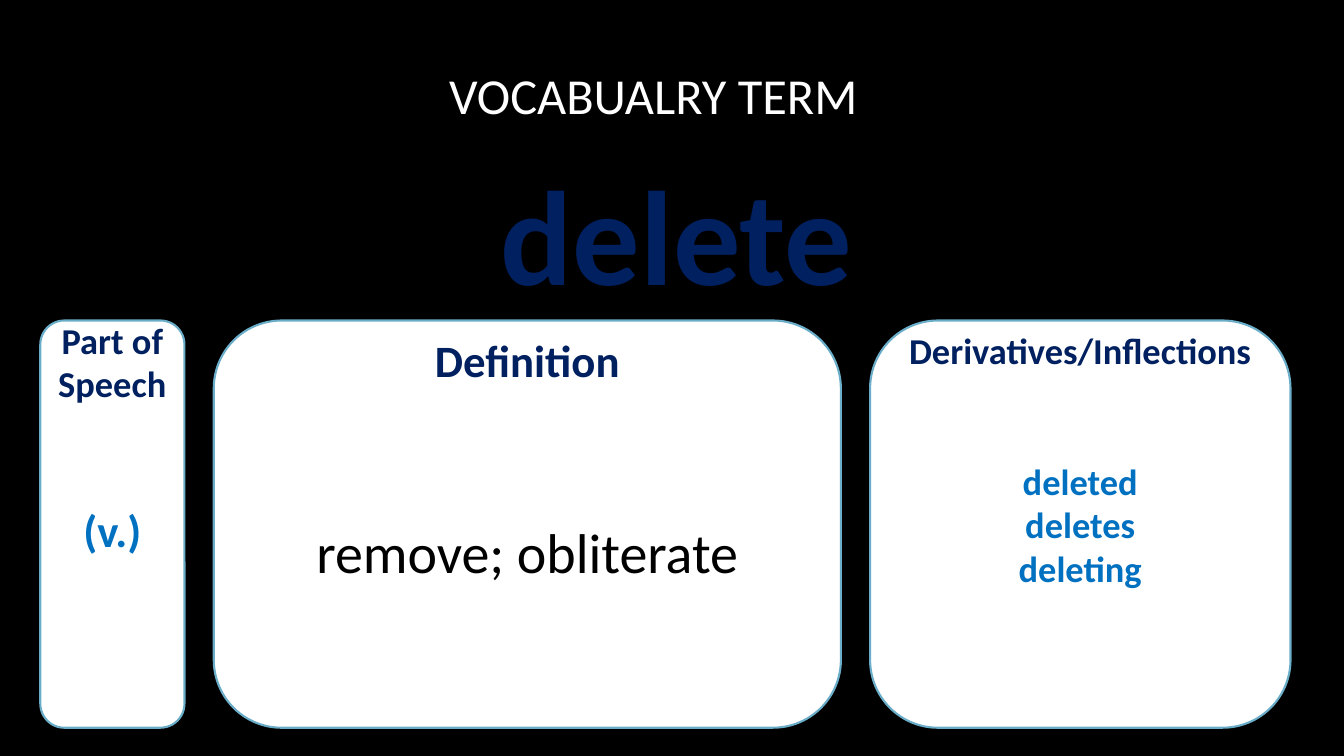
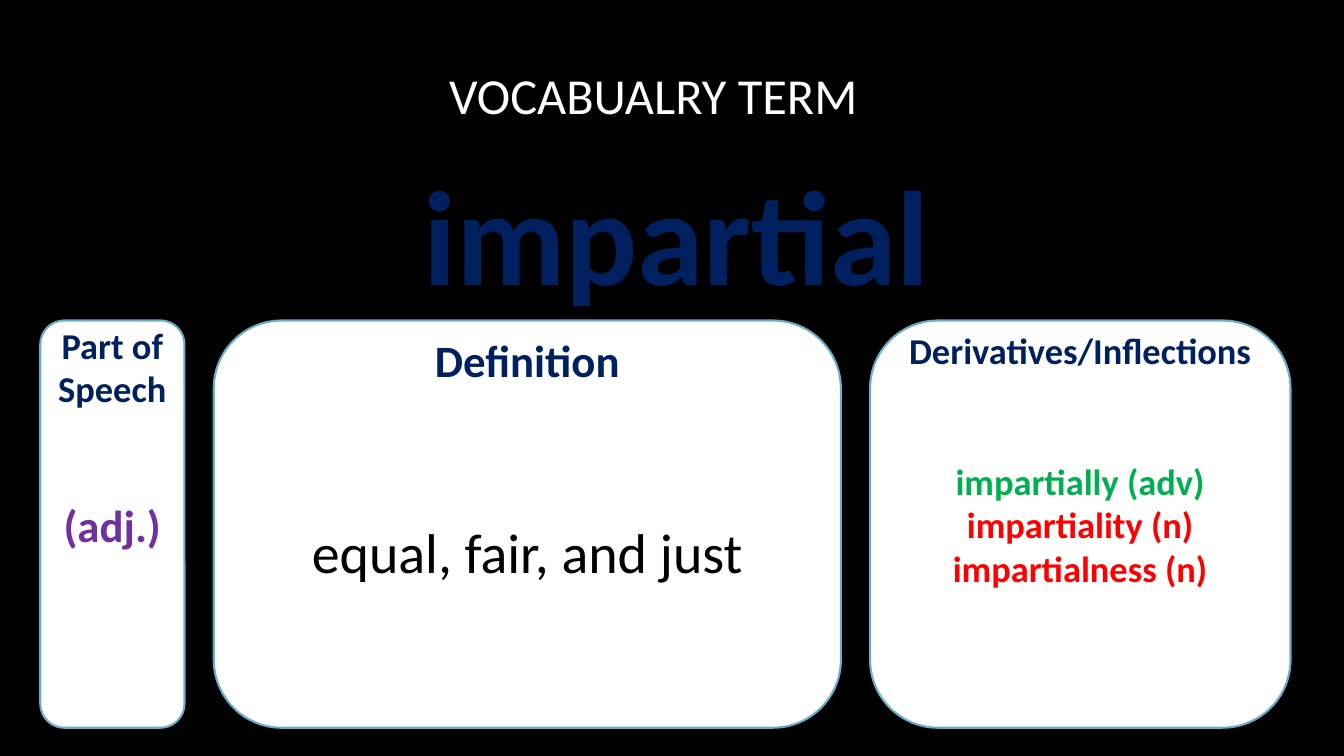
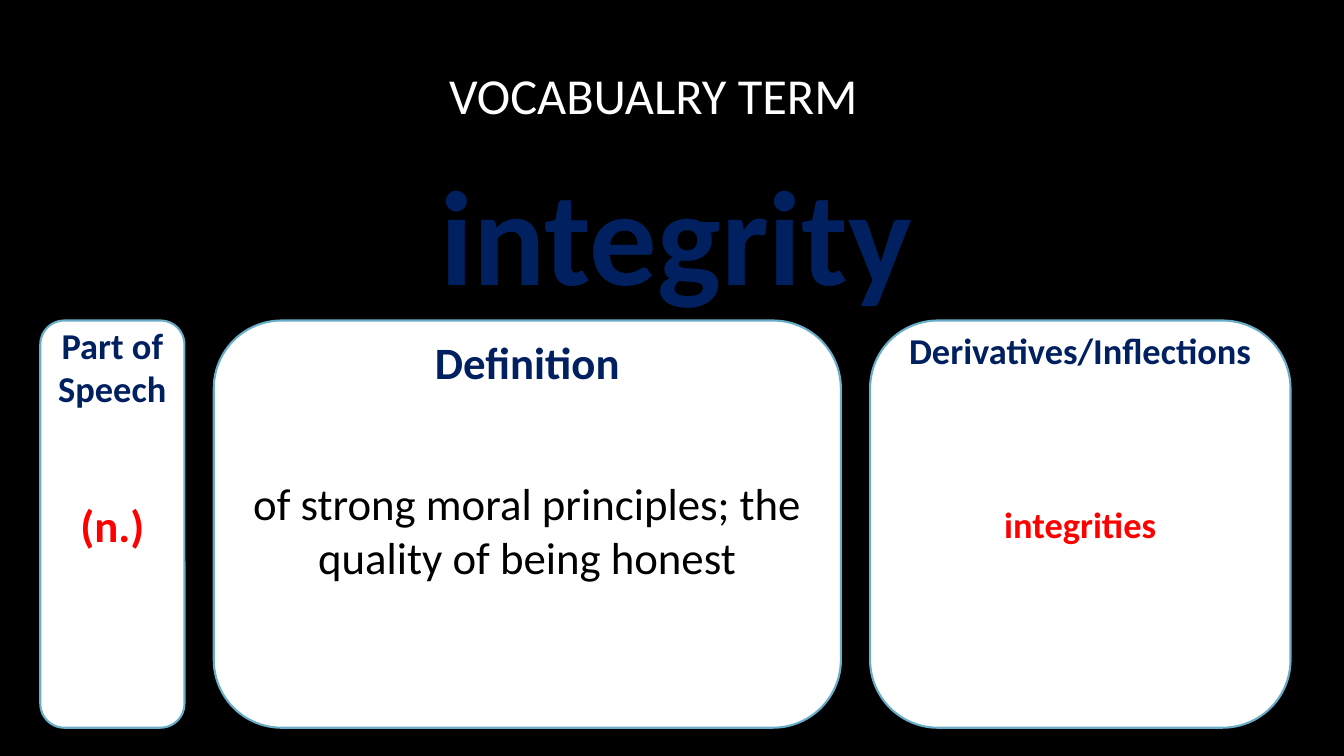
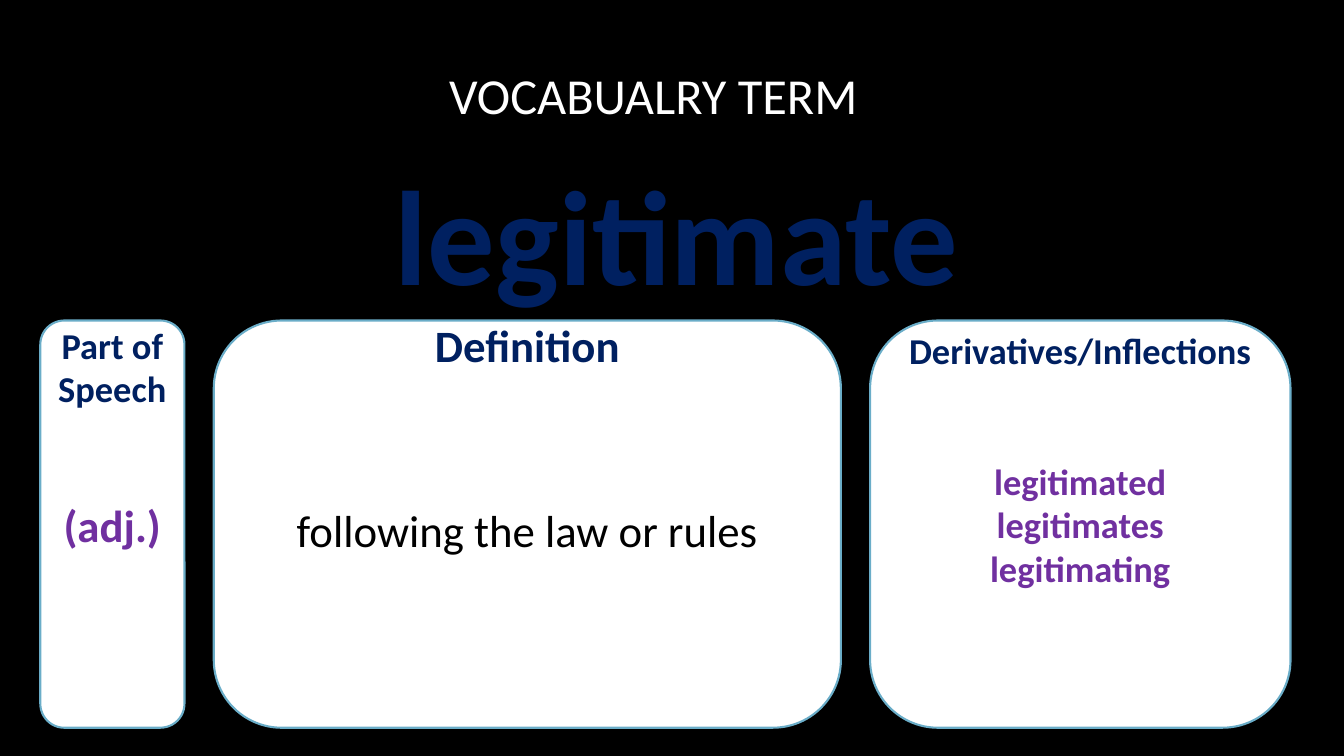
import pptx
import pptx.util
import pptx.dml.color
import pptx.enum.shapes
import pptx.enum.text
from lxml import etree

Inches = pptx.util.Inches
Pt = pptx.util.Pt
RGBColor = pptx.dml.color.RGBColor
ALIGN = pptx.enum.text.PP_ALIGN
MIDDLE = pptx.enum.text.MSO_ANCHOR.MIDDLE
ROUND = pptx.enum.shapes.MSO_SHAPE.ROUNDED_RECTANGLE

BLACK = RGBColor(0x00, 0x00, 0x00)
WHITE = RGBColor(0xFF, 0xFF, 0xFF)
NAVY = RGBColor(0x00, 0x20, 0x60)
EDGE = RGBColor(0x6A, 0xAD, 0xC8)
BLUE = RGBColor(0x00, 0x70, 0xC0)
GREEN = RGBColor(0x00, 0xB0, 0x50)
RED = RGBColor(0xFF, 0x00, 0x00)
PURPLE = RGBColor(0x70, 0x30, 0xA0)

FONT = "Calibri"
LINE = 31.1   # height in points of one 26 pt line, the unit of the gaps
INSET = 3.6
TOP, HIGH = 3.18, 4.04


def write(para, text, size, color, bold=True):
    para.alignment = ALIGN.CENTER
    para.space_before = Pt(0)
    run = para.add_run()
    run.text = text
    run.font.name = FONT
    run.font.size = Pt(size)
    run.font.bold = bold
    run.font.color.rgb = color


def card(slide, left, width, head, size, gap, rows, tail):
    """Draw a panel with gap lines under its heading and tail lines kept free at its foot."""
    box = slide.shapes.add_shape(ROUND, Inches(left), Inches(TOP), Inches(width), Inches(HIGH))
    box.shadow.inherit = False
    box.fill.solid()
    box.fill.fore_color.rgb = WHITE
    box.line.color.rgb = EDGE
    box.line.width = Pt(1.5)
    frame = box.text_frame
    frame.word_wrap = True
    frame.vertical_anchor = MIDDLE
    frame.margin_bottom = Pt(INSET + tail * LINE)
    write(frame.paragraphs[0], head, size, NAVY)
    for i, row in enumerate(rows):
        para = frame.add_paragraph()
        write(para, *row)
        if i == 0:
            para.space_before = Pt(gap * LINE)


# Each term: word, part of speech (gap, text, colour),
# definition (gap, text, size, tail), forms (gap, rows, tail)
TERMS = [
    ("delete", (2.24, "(v.)", BLUE),
     (3, "remove; obliterate", 40, 3),
     (2, [("deleted", BLUE), ("deletes", BLUE), ("deleting", BLUE)], 3)),
    ("impartial", (2, "(adj.)", PURPLE),
     (3, "equal, fair, and just", 40, 3),
     (2, [("impartially (adv)", GREEN), ("impartiality (n)", RED),
          ("impartialness (n)", RED)], 3)),
    ("integrity", (2, "(n.)", RED),
     (2, "of strong moral principles; the quality of being honest", 32, 3),
     (3, [("integrities", RED)], 4)),
    ("legitimate", (2, "(adj.)", PURPLE),
     (3, "following the law or rules", 32, 4),
     (2, [("legitimated", PURPLE), ("legitimates", PURPLE), ("legitimating", PURPLE)], 3)),
]

deck = pptx.Presentation()
deck.slide_width = Inches(13.33)
deck.slide_height = Inches(7.5)
back = deck.slide_master.background.fill
back.solid()
back.fore_color.rgb = BLACK

# The layout places the title and the word for every slide
layout = deck.slide_layouts[1]
for hold, top, high in zip(layout.placeholders, (0.46, 1.42), (0.96, 1.76)):
    hold.left, hold.top = Inches(1.17), Inches(top)
    hold.width, hold.height = Inches(11.08), Inches(high)

for word, part, sense, forms in TERMS:
    slide = deck.slides.add_slide(layout)
    title, body = slide.placeholders
    for hold in (title, body):
        hold.text_frame.auto_size = pptx.enum.text.MSO_AUTO_SIZE.NONE
        hold.text_frame.vertical_anchor = MIDDLE
    title.text_frame.margin_right = Inches(0.56)
    write(title.text_frame.paragraphs[0], "VOCABUALRY TERM", 36, WHITE, False)

    para = body.text_frame.paragraphs[0]
    props = para._p.get_or_add_pPr()
    props.set("marL", "0")
    props.set("indent", "0")
    etree.SubElement(props, pptx.oxml.ns.qn("a:buNone"))
    write(para, word, 96, NAVY)

    gap, text, color = part
    card(slide, 0.4, 1.43, "Part of Speech", 26, gap, [(text, 32, color)], 4)
    gap, rows, tail = forms
    card(slide, 8.63, 4.17, "Derivatives/Inflections", 26, gap,
         [(text, 26, color) for text, color in rows], tail)
    gap, text, size, tail = sense
    card(slide, 2.12, 6.22, "Definition", 32, gap, [(text, size, BLACK, False)], tail)

deck.save("out.pptx")
